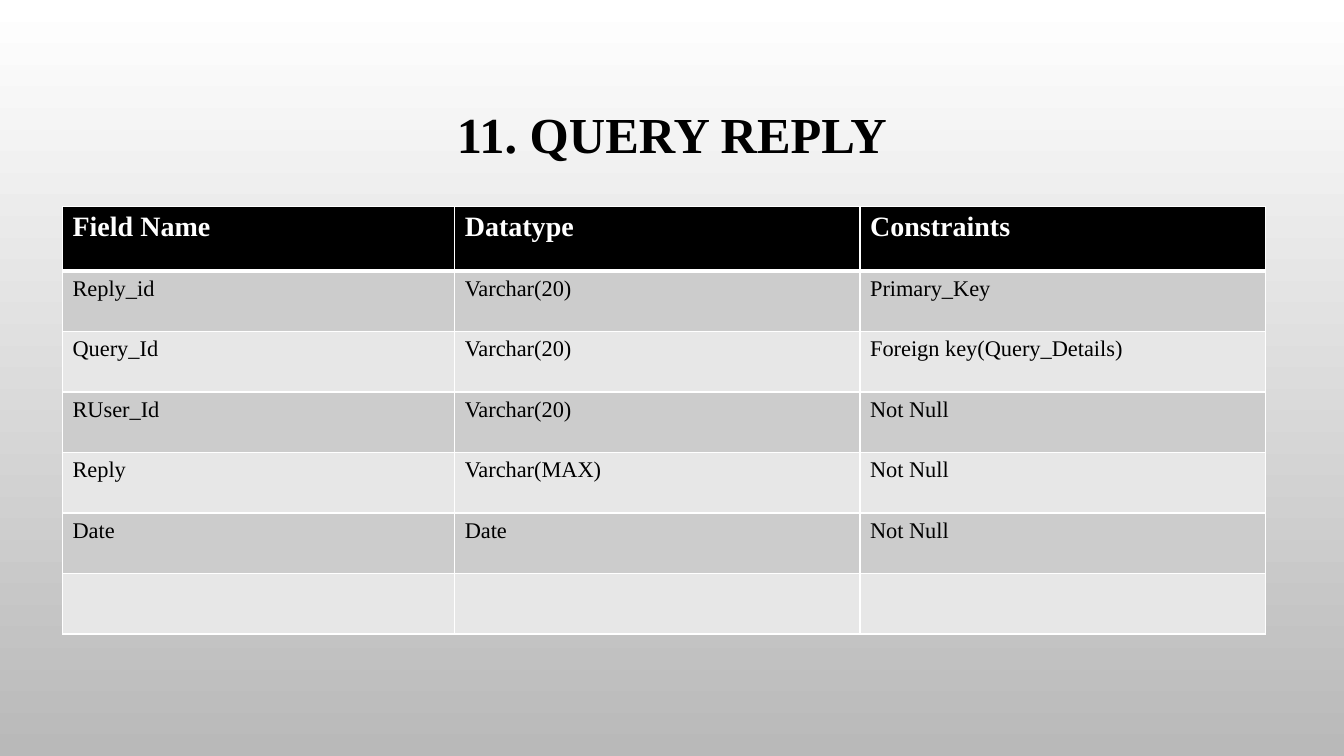
from lxml import etree
from pptx import Presentation
from pptx.dml.color import RGBColor
from pptx.enum.text import MSO_ANCHOR, PP_ALIGN
from pptx.oxml.ns import qn
from pptx.util import Inches, Pt

MIDDLE = MSO_ANCHOR.MIDDLE
CENTER = PP_ALIGN.CENTER

FONT = "Times New Roman"
COLORS = {
    "text": "000000",
    "header": "000000",
    "header_text": "FFFFFF",
    "band_dark": "CCCCCC",
    "band_light": "E7E7E7",
    "border": "FFFFFF",
    "back_top": "FFFFFF",
    "back_bottom": "B9B9B9",
}
FIELDS = [
    ("Field Name", "Datatype", "Constraints"),
    ("Reply_id", "Varchar(20)", "Primary_Key"),
    ("Query_Id", "Varchar(20)", "Foreign key(Query_Details)"),
    ("RUser_Id", "Varchar(20)", "Not Null"),
    ("Reply", "Varchar(MAX)", "Not Null"),
    ("Date", "Date", "Not Null"),
    ("", "", ""),
]
COLUMN_WIDTHS = [3.89, 4.02, 4.02]
HEADER_HEIGHT, ROW_HEIGHT = 0.64, 0.6


def style_text(paragraph, size, color, bold):
    for run in paragraph.runs:
        run.font.name = FONT
        run.font.size = Pt(size)
        run.font.bold = bold
        run.font.color.rgb = RGBColor.from_string(COLORS[color])


def add_border(cell, side, points):
    line = etree.SubElement(cell._tc.get_or_add_tcPr(), qn(f"a:ln{side}"), w=str(Pt(points)))
    fill = etree.SubElement(line, qn("a:solidFill"))
    etree.SubElement(fill, qn("a:srgbClr"), val=COLORS["border"])


prs = Presentation()
prs.slide_width, prs.slide_height = Inches(13.33), Inches(7.5)
slide = prs.slides.add_slide(prs.slide_layouts[5])

# Background: white at the top to grey at the bottom
backdrop = slide.background.fill
backdrop.gradient()
backdrop.gradient_angle = 270
for stop, position, color in zip(backdrop.gradient_stops, (0, 1), ("back_top", "back_bottom")):
    stop.position = position
    stop.color.rgb = RGBColor.from_string(COLORS[color])

# Title
title = slide.shapes.title
title.left, title.top = Inches(1), Inches(0.68)
title.width, title.height = Inches(11.33), Inches(1.37)
title.text_frame.text = "11. QUERY REPLY"
title.text_frame.vertical_anchor = MIDDLE
heading = title.text_frame.paragraphs[0]
heading.alignment = CENTER
heading.line_spacing = 0.9
style_text(heading, 36, "text", True)

# Field table
table_height = HEADER_HEIGHT + ROW_HEIGHT * (len(FIELDS) - 1)
fields = slide.shapes.add_table(
    len(FIELDS), len(COLUMN_WIDTHS),
    Inches(0.62), Inches(2.05), Inches(sum(COLUMN_WIDTHS)), Inches(table_height),
).table
for column, width in zip(fields.columns, COLUMN_WIDTHS):
    column.width = Inches(width)

for r, values in enumerate(FIELDS):
    is_header = r == 0
    fields.rows[r].height = Inches(HEADER_HEIGHT if is_header else ROW_HEIGHT)
    band = "header" if is_header else "band_dark" if r % 2 else "band_light"
    for c, value in enumerate(values):
        cell = fields.cell(r, c)
        # A thick rule separates the header from the rows below
        for side in "LRTB":
            thick = (r, side) in ((0, "B"), (1, "T"))
            add_border(cell, side, 3 if thick else 1)
        cell.fill.solid()
        cell.fill.fore_color.rgb = RGBColor.from_string(COLORS[band])
        if value:
            cell.text_frame.text = value
            style_text(cell.text_frame.paragraphs[0], 20 if is_header else 16,
                       "header_text" if is_header else "text", is_header)

prs.save("out.pptx")
